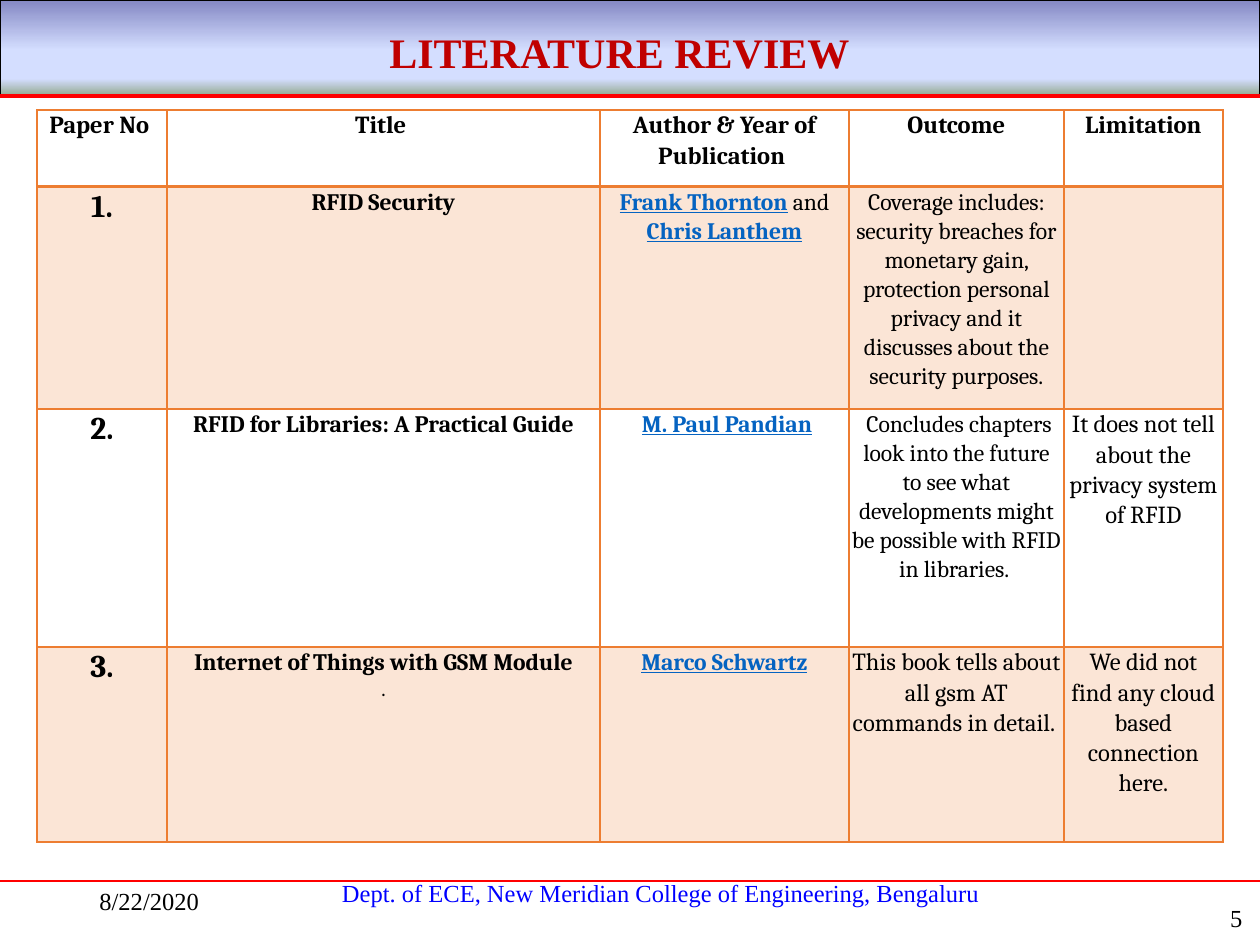
from lxml import etree
from pptx import Presentation
from pptx import util as u
from pptx.dml.color import RGBColor
from pptx.enum import shapes, text
from pptx.oxml.ns import qn

BLACK = RGBColor(0, 0, 0)
WHITE = RGBColor(255, 255, 255)
RED = RGBColor(255, 0, 0)
DARK_RED = RGBColor(0xC0, 0, 0)
BLUE = RGBColor(0, 0, 255)
LINK = RGBColor(0x05, 0x63, 0xC1)
ORANGE = RGBColor(0xED, 0x7D, 0x31)
PEACH = RGBColor(0xFB, 0xE5, 0xD6)
BAND_STOPS = [
    (0, RGBColor(0x84, 0x88, 0xC4)),
    (53, RGBColor(0xD4, 0xDE, 0xFF)),
    (83, RGBColor(0xD4, 0xDE, 0xFF)),
    (100, RGBColor(0x96, 0xAB, 0x94)),
]

CENTER = text.PP_ALIGN.CENTER
HEAD = {"size": 14, "bold": True}
NUMBER = {"size": 18, "bold": True}
TITLE = {"size": 13.5, "bold": True}
AUTHOR = {"size": 13.5, "bold": True, "underline": True, "color": LINK}
BODY = {"size": 13.5}
NOTE = {"size": 14}
DOT = {"size": 12}

COLUMNS = [130, 433, 249, 215, 159]
ROWS = [77, 222, 238, 195]
HEADINGS = ["Paper No ", "Title ", "Author & Year of Publication ", "Outcome", "Limitation"]
PAPERS = [
    [
        [[("1.", NUMBER)]],
        [[("RFID Security", TITLE)]],
        [[("Frank Thornton", AUTHOR), (" and ", BODY), ("Chris Lanthem", AUTHOR)]],
        [[("Coverage includes: security breaches for monetary gain, protection personal "
           "privacy and it discusses about the security purposes.", BODY)]],
        [],
    ],
    [
        [[("2.", NUMBER)]],
        [[("RFID for Libraries: A Practical Guide", TITLE)]],
        [[(" ", BODY), ("M. Paul Pandian", AUTHOR)]],
        [[(" Concludes chapters look into the future to see what developments might "
           "be possible with RFID in libraries. ", BODY)]],
        [[("It does not tell about the privacy system of RFID", NOTE)]],
    ],
    [
        [[("3.", NUMBER)]],
        [[("Internet of Things with GSM Module", TITLE)], [(".", DOT)]],
        [[("Marco Schwartz", AUTHOR)]],
        [[("This book tells about all gsm AT commands in detail. ", NOTE)]],
        [[("We did not find any cloud based connection here.", NOTE)]],
    ],
]


class Page:
    serif = "Times New Roman"
    table_font = "Cambria"
    scale = u.Inches(1) / 126

    def __init__(self, deck):
        self.slide = deck.slides.add_slide(deck.slide_layouts[5])
        self.shapes = self.slide.shapes

    def px(self, *lengths):
        return [round(length * self.scale) for length in lengths]

    def add_span(self, para, content, font, size, color=BLACK, bold=False, underline=False):
        span = para.add_run()
        span.text = content
        values = {"name": font, "size": u.Pt(size), "bold": bold, "underline": underline}
        for name, value in values.items():
            setattr(span.font, name, value)
        span.font.color.rgb = color

    def fill_frame(self, box, content, align, anchor, **style):
        frame = box.text_frame
        frame.word_wrap = True
        frame.auto_size = text.MSO_AUTO_SIZE.NONE
        frame.vertical_anchor = anchor
        para = frame.paragraphs[0]
        para.alignment = align
        self.add_span(para, content, self.serif, **style)

    def title(self, content, place, **style):
        box = self.shapes.title
        for name, value in zip(("left", "top", "width", "height"), self.px(*place)):
            setattr(box, name, value)
        self.fill_frame(box, content, CENTER, text.MSO_ANCHOR.MIDDLE, **style)
        box._element.getparent().append(box._element)

    def label(self, content, place, align, anchor=text.MSO_ANCHOR.MIDDLE, **style):
        box = self.shapes.add_textbox(*self.px(*place))
        self.fill_frame(box, content, align, anchor, **style)

    def band(self, place, stops):
        box = self.shapes.add_shape(shapes.MSO_SHAPE.RECTANGLE, *self.px(*place))
        box.shadow.inherit = False
        box.line.color.rgb = BLACK
        box.line.width = u.Pt(0.75)
        box.fill.gradient()
        box.fill.gradient_angle = 270
        stop_list = box._element.spPr.find(qn("a:gradFill")).find(qn("a:gsLst"))
        for old in list(stop_list):
            stop_list.remove(old)
        for position, color in stops:
            stop = etree.SubElement(stop_list, qn("a:gs"), pos=str(position * 1000))
            etree.SubElement(stop, qn("a:srgbClr"), val=str(color))

    def rule(self, y, width):
        line = self.shapes.add_connector(
            shapes.MSO_CONNECTOR.STRAIGHT, *self.px(0, y, 1260, y))
        line.line.color.rgb = RED
        line.line.width = u.Pt(width)
        etree.SubElement(line._element.spPr, qn("a:effectLst"))

    def border(self, cell, side, width):
        edge = etree.SubElement(
            cell._tc.get_or_add_tcPr(), qn(f"a:ln{side}"), w=str(int(u.Pt(width))))
        paint = etree.SubElement(edge, qn("a:solidFill"))
        etree.SubElement(paint, qn("a:srgbClr"), val=str(ORANGE))

    def cell(self, cell, paragraphs, color, widths):
        for side, width in widths.items():
            self.border(cell, side, width)
        cell.fill.solid()
        cell.fill.fore_color.rgb = color
        margins = {"margin_left": 3, "margin_right": 3, "margin_top": 0, "margin_bottom": 0}
        for name, value in margins.items():
            setattr(cell, name, self.px(value)[0])
        frame = cell.text_frame
        for index, spans in enumerate(paragraphs):
            para = frame.add_paragraph() if index else frame.paragraphs[0]
            para.alignment = CENTER
            para.line_spacing = 1.07
            for content, style in spans:
                self.add_span(para, content, self.table_font, **style)

    def table(self, left, top, columns, rows, content):
        place = self.px(left, top, sum(columns), sum(rows))
        table = self.shapes.add_table(len(rows), len(columns), *place).table
        for column, width in zip(table.columns, self.px(*columns)):
            column.width = width
        for row, height in zip(table.rows, self.px(*rows)):
            row.height = height
        for r, line in enumerate(content):
            widths = {"L": 1, "R": 1, "T": 2 if r == 1 else 1, "B": 2 if r == 0 else 1}
            for c, paragraphs in enumerate(line):
                self.cell(table.cell(r, c), paragraphs, PEACH if r % 2 else WHITE, widths)


def main():
    deck = Presentation()
    deck.slide_width, deck.slide_height = u.Inches(10), u.Inches(7.5)
    page = Page(deck)
    page.band((0, 0, 1260, 95), BAND_STOPS)
    page.rule(96, 2.25)
    page.label("Dept. of ECE, New Meridian College of Engineering, Bengaluru",
               (215, 872, 892, 42), CENTER, text.MSO_ANCHOR.TOP, size=14, color=BLUE)
    page.rule(881, 1.5)
    header = [[[(heading, HEAD)]] for heading in HEADINGS]
    page.table(37, 110, COLUMNS, ROWS, [header, *PAPERS])
    page.title("LITERATURE REVIEW", (84, 10, 1071, 84), size=24, color=DARK_RED, bold=True)
    page.label("8/22/2020", (87, 876, 284, 50), text.PP_ALIGN.LEFT, size=14)
    page.label("5", (1155, 890, 100, 55), text.PP_ALIGN.RIGHT, size=14)
    deck.save("out.pptx")


if __name__ == "__main__":
    main()
